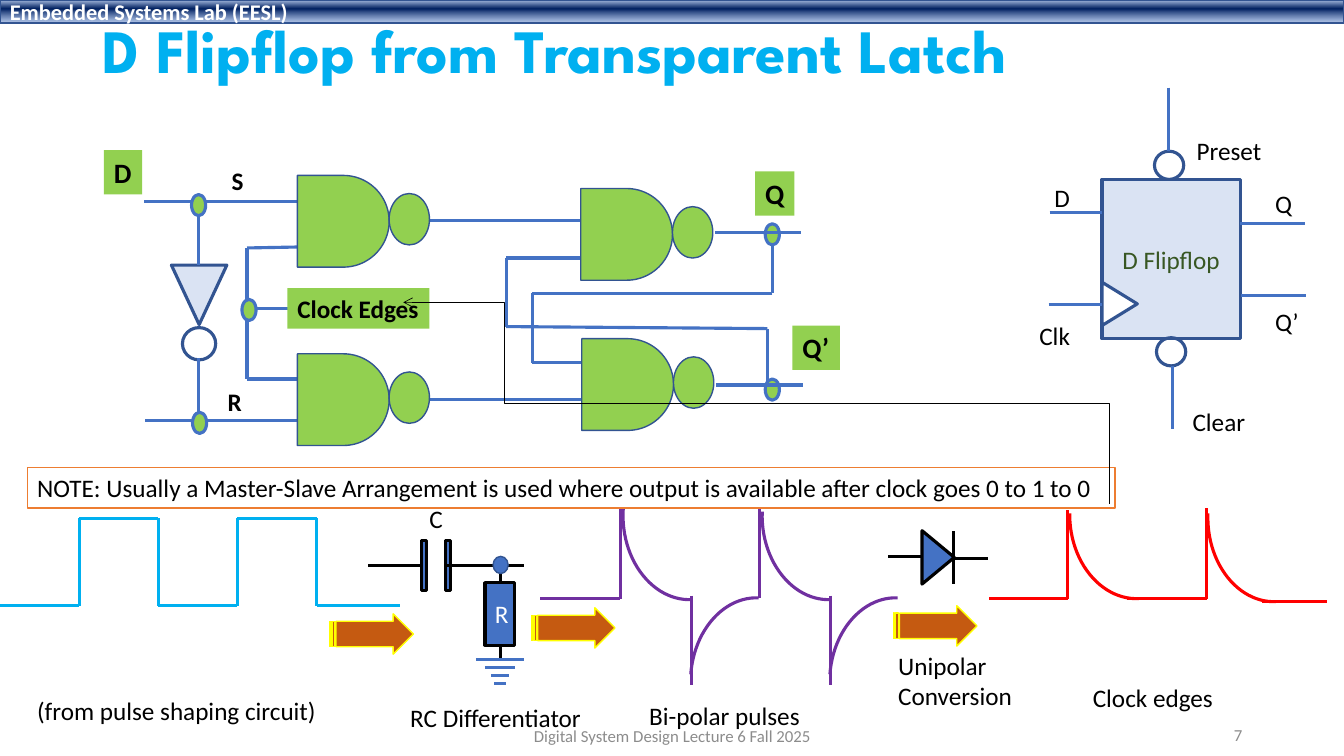
from lxml import etree
from pptx import Presentation
from pptx.dml.color import RGBColor
from pptx.enum import shapes, text
from pptx.oxml import ns
from pptx.util import Inches, Pt

SKY = RGBColor(0x00, 0xB0, 0xF0)
PURPLE = RGBColor(0x70, 0x30, 0xA0)
RED = RGBColor(0xFF, 0x00, 0x00)
BLACK = RGBColor(0x00, 0x00, 0x00)
WHITE = RGBColor(0xFF, 0xFF, 0xFF)
BLUE = RGBColor(0x44, 0x72, 0xC4)
NAVY = RGBColor(0x32, 0x54, 0x91)
PALE = RGBColor(0xDA, 0xE3, 0xF3)
GREEN = RGBColor(0x92, 0xD0, 0x50)
FOREST = RGBColor(0x38, 0x57, 0x23)
ORANGE = RGBColor(0xED, 0x7D, 0x31)
RUST = RGBColor(0xC5, 0x5A, 0x11)
YELLOW = RGBColor(0xFF, 0xFF, 0x00)
GREY = RGBColor(0x8C, 0x8C, 0x8C)

KIND = shapes.MSO_SHAPE
ALIGN = text.PP_ALIGN
MIDDLE = text.MSO_ANCHOR.MIDDLE


class Sketch:
    base = {"name": "Calibri", "size": Pt(18), "bold": False}

    def __init__(self, page):
        self.page = page

    def set_words(self, frame, words, color=BLACK, align=ALIGN.LEFT, **style):
        frame.text = words
        for para in frame.paragraphs:
            para.alignment = align
            for span in para.runs:
                for key, value in {**self.base, **style}.items():
                    setattr(span.font, key, value)
                span.font.color.rgb = color

    def title(self, words, at):
        box = self.page.shapes.title
        for key, value in zip(("left", "top", "width", "height"), at):
            setattr(box, key, Inches(value))
        frame = box.text_frame
        frame.vertical_anchor = MIDDLE
        frame.auto_size = text.MSO_AUTO_SIZE.NONE
        self.set_words(frame, words, SKY, name="League Spartan", size=Pt(44), bold=True)
        frame.paragraphs[0].line_spacing = 0.9

    def outline(self, shape, color, weight):
        shape.line.color.rgb = color
        shape.line.width = Pt(weight)

    def shape(self, kind, at, fill=None, line=NAVY, weight=2.25, turn=0, adjust=()):
        shape = self.page.shapes.add_shape(kind, *map(Inches, at))
        shape.shadow.inherit = False
        shape.rotation = turn
        for index, value in enumerate(adjust):
            shape.adjustments[index] = value
        if fill is None:
            shape.fill.background()
        else:
            shape.fill.solid()
            shape.fill.fore_color.rgb = fill
        self.outline(shape, line, weight)
        return shape

    def caption(self, shape, words, color, **style):
        shape.text_frame.vertical_anchor = MIDDLE
        self.set_words(shape.text_frame, words, color, **style)

    def label(self, words, at, fill=None, line=None, **style):
        box = self.page.shapes.add_textbox(*map(Inches, at))
        box.text_frame.word_wrap = False
        box.text_frame.auto_size = text.MSO_AUTO_SIZE.SHAPE_TO_FIT_TEXT
        if fill is not None:
            box.fill.solid()
            box.fill.fore_color.rgb = fill
        if line is not None:
            self.outline(box, line, 1)
        self.set_words(box.text_frame, words, **style)

    def footer(self, words, at, align):
        box = self.page.shapes.add_textbox(*map(Inches, at))
        box.text_frame.word_wrap = True
        self.caption(box, words, GREY, align=align, size=Pt(12))

    def wire(self, *points, color=BLUE):
        for start, end in zip(points, points[1:]):
            ends = map(Inches, (*start, *end))
            wire = self.page.shapes.add_connector(shapes.MSO_CONNECTOR.STRAIGHT, *ends)
            self.outline(wire, color, 2.25)
            etree.SubElement(wire._element.spPr, ns.qn("a:effectLst"))

    def arc(self, at, color, end, mirrored=False):
        turn = 4.1 if mirrored else 175.9
        arc = self.shape(KIND.ARC, at, line=color, turn=turn, adjust=(162.58, end))
        if mirrored:
            arc._element.spPr.xfrm.set("flipH", "1")

    def gate(self, x, y):
        self.shape(KIND.FLOWCHART_DELAY, (x, y, 0.91, 0.91), GREEN, weight=1)
        self.shape(KIND.OVAL, (x + 0.91, y + 0.18, 0.4, 0.51), GREEN, weight=1)

    def node(self, x, y):
        self.shape(KIND.OVAL, (x, y, 0.14, 0.21), GREEN, BLUE)

    def header(self, words):
        bar = self.shape(KIND.RECTANGLE, (0, 0, 13.33, 0.23), weight=1)
        bar.fill.gradient()
        bar.fill.gradient_angle = 270
        stops = bar._element.spPr.find(".//" + ns.qn("a:gsLst"))
        for stop in list(stops):
            stops.remove(stop)
        for place, color, alpha in ((2, "ABC0E4", 100), (38, "002060", 100), (93, "7E9ED6", 64)):
            stop = etree.SubElement(stops, ns.qn("a:gs"), pos=str(place * 1000))
            tone = etree.SubElement(stop, ns.qn("a:srgbClr"), val=color)
            etree.SubElement(tone, ns.qn("a:alpha"), val=str(alpha * 1000))
        self.caption(bar, words, WHITE, size=Pt(16), bold=True)
        self.page.shapes._spTree.insert(2, bar._element)

    def curved_arrow(self, start, curves, steps=16):
        points = [start]
        for curve in curves:
            a, b, c, d = points[-1], *curve
            for step in range(1, steps + 1):
                t = step / steps
                s = 1 - t
                points.append(tuple(
                    s**3 * a[i] + 3 * s * s * t * b[i] + 3 * s * t * t * c[i] + t**3 * d[i]
                    for i in (0, 1)))
        builder = self.page.shapes.build_freeform(*start, scale=Inches(1))
        builder.add_line_segments(points[1:], close=False)
        arrow = builder.convert_to_shape()
        arrow.shadow.inherit = False
        arrow.fill.background()
        self.outline(arrow, BLACK, 0.5)
        line = arrow._element.spPr.find(ns.qn("a:ln"))
        etree.SubElement(line, ns.qn("a:tailEnd"), type="arrow")


def draw_pulses(sketch):
    low, high, step = 6.01, 5.14, 0.785
    wave = [(0, low)]
    for index in range(1, 5):
        levels = (low, high) if index % 2 else (high, low)
        wave += [(index * step, level) for level in levels]
    sketch.wire(*wave, (3.97, low), color=SKY)

    sketch.wire((5.36, 5.94), (6.15, 5.94), (6.15, 5.05), color=PURPLE)
    sketch.wire((7.53, 5.93), (7.53, 5.04), color=PURPLE)
    for shift, end in ((0, 8.08), (1.38, 6.18)):
        sketch.arc((6.18 + shift, 4.34, 1.27, 1.61), PURPLE, end)
        sketch.wire((6.86 + shift, 5.91), (6.86 + shift, 6.8), color=PURPLE)
        sketch.arc((6.85 + shift, 5.93, 1.26, 1.61), PURPLE, 0, mirrored=True)

    sketch.wire((8.81, 5.52), (9.14, 5.52), color=BLACK)
    sketch.shape(KIND.ISOSCELES_TRIANGLE, (9.04, 5.37, 0.53, 0.32), BLUE, BLACK, turn=90)
    sketch.wire((9.46, 5.27), (9.46, 5.79), color=BLACK)
    sketch.wire((9.46, 5.54), (9.8, 5.54), color=BLACK)

    sketch.arc((10.61, 4.33, 1.28, 1.61), RED, 4.65)
    sketch.arc((11.98, 4.36, 1.26, 1.61), RED, 6.35)
    sketch.wire((9.81, 5.94), (10.59, 5.94), (10.59, 5.06), color=RED)
    sketch.wire((11.18, 5.94), (11.97, 5.94), (11.97, 5.04), color=RED)
    sketch.wire((12.52, 5.97), (13.16, 5.97), color=RED)

    for words, at in (
        ("(from pulse shaping circuit)", (0.27, 6.85, 3, 0.4)),
        ("RC Differentiator", (3.97, 6.92, 1.92, 0.4)),
        ("Bi-polar pulses", (6.34, 6.9, 1.71, 0.4)),
        ("Unipolar\nConversion", (8.81, 6.4, 1.34, 0.71)),
        ("Clock edges", (10.74, 6.72, 1.41, 0.4)),
    ):
        sketch.label(words, at)


def draw_latch(sketch):
    sketch.wire((2.95, 2), (1.43, 2))
    sketch.wire((2.98, 2.45), (2.45, 2.46), (2.45, 3.76), (2.99, 3.76))
    sketch.wire((2.97, 4.17), (1.44, 4.17))
    sketch.wire((4.19, 2.19), (5.8, 2.19))
    sketch.wire((4.26, 3.96), (5.8, 3.96))
    sketch.wire((7.61, 3.88), (7.61, 3.26), (5.02, 3.24), (5.02, 2.56), (5.76, 2.56))
    sketch.wire((7.66, 2.22), (7.66, 2.91), (5.28, 2.91), (5.28, 3.6), (5.76, 3.6))
    sketch.wire((2.95, 3.06), (2.45, 3.06))
    for corner in ((2.95, 1.74), (2.95, 3.51), (5.76, 1.87), (5.77, 3.36)):
        sketch.gate(*corner)
    sketch.shape(KIND.ISOSCELES_TRIANGLE, (1.7, 2.63, 0.55, 0.59), PALE, turn=180)
    sketch.shape(KIND.OVAL, (1.81, 3.25, 0.33, 0.32))
    sketch.wire((1.97, 2), (1.97, 2.63))
    sketch.wire((1.97, 3.55), (1.97, 4.18))
    for corner in ((2.4, 2.97), (7.59, 3.76), (7.59, 2.22), (1.9, 1.93), (1.91, 4.09)):
        sketch.node(*corner)
    sketch.wire((7.1, 3.82), (7.96, 3.82))
    sketch.wire((7.09, 2.31), (7.94, 2.31))
    for words, at, fill, size in (
        ("D", (1.03, 1.49, 0.38, 0.44), GREEN, 20),
        ("Q", (7.49, 1.7, 0.39, 0.44), GREEN, 20),
        ("Q’", (7.86, 3.23, 0.47, 0.44), GREEN, 20),
        ("Clock Edges", (2.85, 2.86, 1.41, 0.4), GREEN, 18),
        ("S", (2.2, 1.59, 0.32, 0.4), None, 18),
        ("R", (2.16, 3.78, 0.34, 0.4), None, 18),
    ):
        sketch.label(words, at, fill, size=Pt(size), bold=True)


def draw_flipflop(sketch):
    body = sketch.shape(KIND.RECTANGLE, (10.93, 1.78, 1.37, 1.58), PALE)
    sketch.caption(body, "D Flipflop", FOREST, align=ALIGN.CENTER)
    sketch.shape(KIND.ISOSCELES_TRIANGLE, (10.89, 2.84, 0.43, 0.35), WHITE, turn=90)
    for x, y in ((11.45, 1.5), (11.47, 3.35)):
        sketch.shape(KIND.OVAL, (x, y, 0.29, 0.28))
    for start, end in (
        ((10.4, 3.02), (10.93, 3.02)), ((10.41, 2.11), (10.93, 2.11)),
        ((12.3, 2.22), (12.94, 2.22)), ((12.31, 2.93), (12.95, 2.93)),
        ((11.59, 0.87), (11.59, 1.5)), ((11.63, 3.63), (11.63, 4.26)),
    ):
        sketch.wire(start, end)
    for words, x, y, width in (
        ("Clk", 10.21, 3.13, 0.51), ("D", 10.36, 1.76, 0.36), ("Q", 12.55, 1.82, 0.37),
        ("Q’", 12.55, 2.99, 0.44), ("Preset", 11.77, 1.29, 0.85), ("Clear", 11.73, 3.98, 0.73),
    ):
        sketch.label(words, (x, y, width, 0.4))


def draw_differentiator(sketch):
    for x in (4.18, 4.42):
        sketch.shape(KIND.RECTANGLE, (x, 5.36, 0.05, 0.5), BLUE, BLACK)
    sketch.wire((4.18, 5.61), (3.65, 5.61), color=BLACK)
    sketch.wire((4.42, 5.61), (5.2, 5.61), color=BLACK)
    resistor = sketch.shape(KIND.RECTANGLE, (4.81, 5.78, 0.29, 0.62), BLUE, BLACK)
    sketch.caption(resistor, "R", WHITE, align=ALIGN.CENTER)
    sketch.wire((4.96, 5.78), (4.96, 5.61), color=BLACK)
    sketch.wire((4.96, 6.4), (4.96, 6.54), color=BLACK)
    sketch.shape(KIND.OVAL, (4.89, 5.52, 0.15, 0.17), BLUE, weight=1)
    sketch.label("C", (4.16, 4.94, 0.34, 0.4))
    for row, half in enumerate((0.24, 0.15, 0.09, 0.06)):
        y = 6.54 + row * 0.08
        sketch.wire((4.96 - half, y), (4.96 + half, y))


def main():
    deck = Presentation()
    deck.slide_width, deck.slide_height = Inches(13.33), Inches(7.5)
    sketch = Sketch(deck.slides.add_slide(deck.slide_layouts[5]))
    sketch.header("Embedded Systems Lab (EESL)")
    sketch.title("D Flipflop from Transparent Latch", (0.92, 0.15, 11.5, 0.77))
    draw_pulses(sketch)
    draw_latch(sketch)
    draw_flipflop(sketch)
    for x, y in ((3.27, 6.09), (5.27, 6.03), (8.86, 6.01)):
        sketch.shape(KIND.STRIPED_RIGHT_ARROW, (x, y, 0.83, 0.4), RUST, YELLOW, 1, adjust=(0.63, 0.5))
    sketch.footer("7", (9.42, 7.09, 3, 0.4), ALIGN.RIGHT)
    note = ("NOTE: Usually a Master-Slave Arrangement is used where output "
            "is available after clock goes 0 to 1 to 0")
    sketch.label(note, (0.27, 4.64, 10.79, 0.4), WHITE, ORANGE)
    sketch.footer("Digital System Design Lecture 6 Fall 2025", (4.42, 7.1, 4.5, 0.4), ALIGN.CENTER)
    draw_differentiator(sketch)
    sketch.curved_arrow((10.53, 4.59), (
        ((10.59, 4.4), (10.65, 4.21), (9.75, 4.18)),
        ((8.86, 4.16), (5.99, 4.61), (5.15, 4.42)),
        ((4.3, 4.23), (4.82, 3.31), (4.68, 3.06)),
        ((4.54, 2.81), (4.39, 2.92), (4.32, 2.91)),
    ))
    deck.save("out.pptx")


if __name__ == "__main__":
    main()
